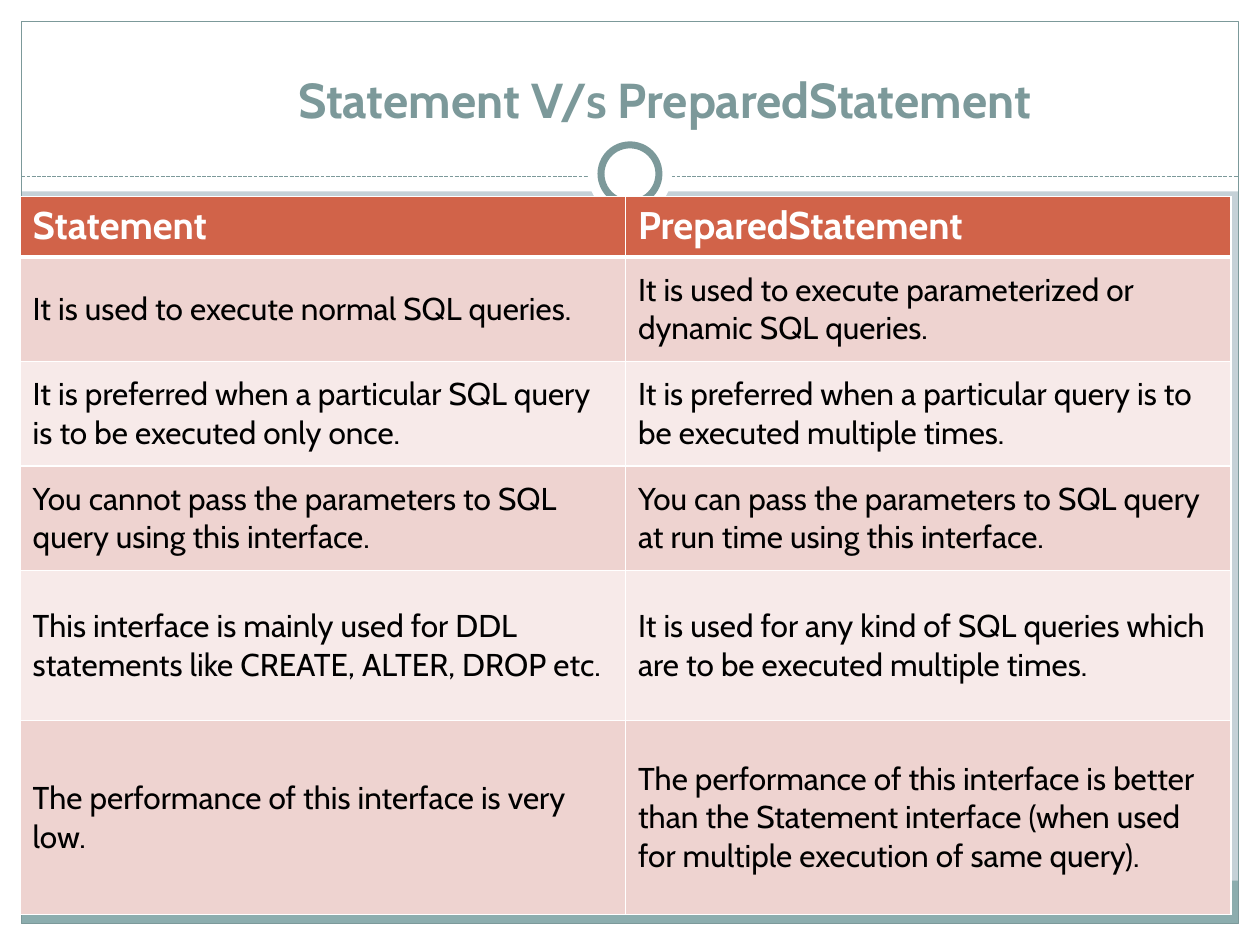
from lxml.etree import SubElement
from pptx import Presentation
from pptx.dml.color import RGBColor
from pptx.enum.dml import MSO_LINE
from pptx.enum.shapes import MSO_CONNECTOR, MSO_SHAPE
from pptx.enum.text import MSO_ANCHOR, MSO_AUTO_SIZE, PP_ALIGN
from pptx.oxml.ns import qn
from pptx.util import Inches, Pt

FONT = "Cabin"
WHITE = RGBColor(0xFF, 0xFF, 0xFF)
BLACK = RGBColor(0x00, 0x00, 0x00)
MIST = RGBColor(0xC5, 0xD1, 0xD7)
TEAL = RGBColor(0x8C, 0xAD, 0xAE)
SAGE = RGBColor(0x7C, 0x99, 0x9A)
RUST = RGBColor(0xD1, 0x63, 0x49)
ROSE = RGBColor(0xEE, 0xD3, 0xD0)
BLUSH = RGBColor(0xF7, 0xEA, 0xE9)

HEIGHTS = [0.48, 0.83, 0.83, 0.83, 1.19, 1.54]
ROWS = [
    ("Statement", "PreparedStatement"),
    ("It is used to execute normal SQL queries.",
     "It is used to execute parameterized or dynamic SQL queries."),
    ("It is preferred when a particular SQL query is to be executed only once.",
     "It is preferred when a particular query is to be executed multiple times."),
    ("You cannot pass the parameters to SQL query using this interface.",
     "You can pass the parameters to SQL query at run time using this interface."),
    ("This interface is mainly used for DDL statements like CREATE, ALTER, DROP etc.",
     "It is used for any kind of SQL queries which are to be executed multiple times."),
    ("The performance of this interface is very low.",
     "The performance of this interface is better than the Statement interface "
     "(when used for multiple execution of same query)."),
]


def write(frame, text, size=18, color=BLACK, bold=False, align=PP_ALIGN.LEFT):
    """Put one formatted paragraph into a text frame."""
    para = frame.paragraphs[0]
    para.alignment = align
    run = para.add_run()
    run.text = text
    font = run.font
    font.name, font.size, font.bold = FONT, Pt(size), bold
    font.color.rgb = color


def add_block(slide, box, kind=MSO_SHAPE.RECTANGLE, fill=None, line=None, width=0.75):
    """Add a flat shape with an optional fill and outline."""
    shape = slide.shapes.add_shape(kind, *map(Inches, box))
    shape.shadow.inherit = False
    if fill is None:
        shape.fill.background()
    else:
        shape.fill.solid()
        shape.fill.fore_color.rgb = fill
    if line is None:
        shape.line.fill.background()
    else:
        shape.line.color.rgb = line
        shape.line.width = Pt(width)


def add_disc(slide, center, size, **style):
    """Add a white circle around a center point."""
    x, y = center
    box = (x - size / 2, y - size / 2, size, size)
    add_block(slide, box, MSO_SHAPE.OVAL, fill=WHITE, **style)


def add_frame(slide, box, edge=0.17, head=1.52, rule=1.4):
    """Draw the white margins, footer band, outline, dashed rule and ring."""
    left, top, width, height = box
    right, base = left + width, top + height
    inner = width - 2 * edge
    for margin in (
        (left, base - edge, width, edge),
        (left, top, width, head),
        (left, top, edge, height),
        (right - edge, top, edge, height),
    ):
        add_block(slide, margin, fill=WHITE)
    add_block(slide, (left + edge, base - edge - 0.34, inner, 0.34), fill=TEAL)
    add_block(slide, (left + edge, top + edge, inner, height - 2 * edge), line=SAGE)

    dash = slide.shapes.add_connector(
        MSO_CONNECTOR.STRAIGHT, Inches(left + edge), Inches(top + rule),
        Inches(right - edge), Inches(top + rule))
    dash.line.color.rgb = SAGE
    dash.line.width = Pt(0.75)
    dash.line.dash_style = MSO_LINE.SQUARE_DOT
    props = dash._element.spPr
    SubElement(props, qn("a:effectLst"))
    props.find(qn("a:ln")).find(qn("a:prstDash")).set("val", "sysDash")

    center = (left + width / 2, top + rule - 0.02)
    add_disc(slide, center, 0.67)
    add_disc(slide, center, 0.46, line=SAGE, width=4)


def add_title(slide, box, text):
    """Place the title placeholder in front of the frame."""
    title = slide.shapes.title
    title.left, title.top, title.width, title.height = map(Inches, box)
    frame = title.text_frame
    frame.word_wrap = True
    frame.auto_size = MSO_AUTO_SIZE.NONE
    frame.vertical_anchor = MSO_ANCHOR.BOTTOM
    write(frame, text, size=28, color=SAGE, bold=True, align=PP_ALIGN.CENTER)
    slide.shapes._spTree.append(title._element)


def set_edges(cell, **widths):
    """Give a cell white borders of the given point widths."""
    props = cell._tc.get_or_add_tcPr()
    for side in "LRTB":
        line = SubElement(props, qn(f"a:ln{side}"), w=str(Pt(widths.get(side, 1))))
        fill = SubElement(line, qn("a:solidFill"))
        SubElement(fill, qn("a:srgbClr"), val=str(WHITE))


def add_grid(slide, box, rows, heights):
    """Add the comparison table with a header and banded rows."""
    cols = len(rows[0])
    table = slide.shapes.add_table(len(rows), cols, *map(Inches, box)).table
    for col in table.columns:
        col.width = Inches(box[2] / cols)
    for i, (texts, height) in enumerate(zip(rows, heights)):
        table.rows[i].height = Inches(height)
        for j, text in enumerate(texts):
            cell = table.cell(i, j)
            set_edges(cell, T=3 if i == 1 else 1, B=3 if i == 0 else 1)
            cell.fill.solid()
            if i == 0:
                cell.fill.fore_color.rgb = RUST
                write(cell.text_frame, text, size=22, color=WHITE, bold=True)
            else:
                cell.fill.fore_color.rgb = ROSE if i % 2 else BLUSH
                cell.vertical_anchor = MSO_ANCHOR.MIDDLE
                write(cell.text_frame, text)


def main():
    """Build and save the slide."""
    deck = Presentation()
    deck.slide_width, deck.slide_height = Inches(10), Inches(7.5)
    slide = deck.slides.add_slide(deck.slide_layouts[5])
    slide.background.fill.solid()
    slide.background.fill.fore_color.rgb = MIST
    add_frame(slide, (0, 0, 10, 7.5))
    add_title(slide, (0.94, 0.7, 8.67, 0.37), "Statement V/s PreparedStatement")
    add_grid(slide, (0.16, 1.56, 9.61, sum(HEIGHTS)), ROWS, HEIGHTS)
    deck.save("out.pptx")


if __name__ == "__main__":
    main()
